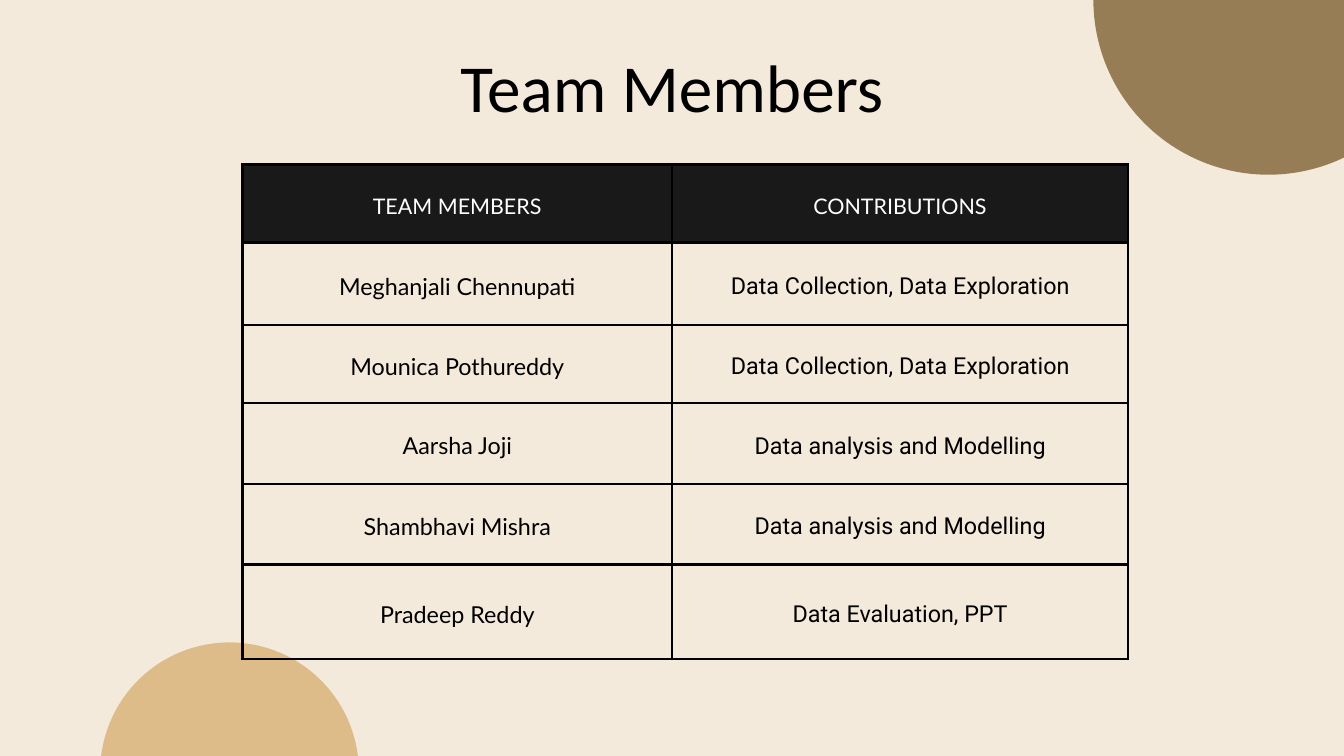
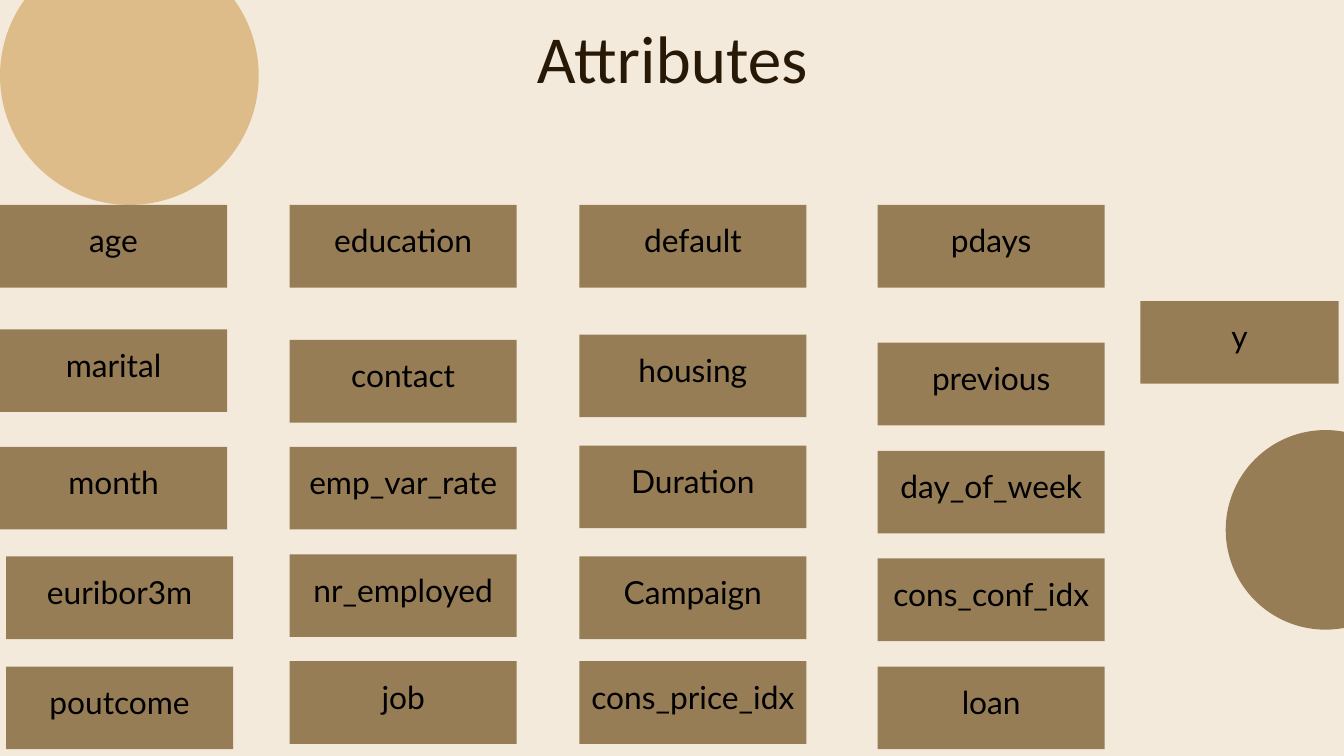
from lxml.etree import SubElement
from pptx import Presentation
from pptx.dml.color import RGBColor
from pptx.enum.shapes import MSO_SHAPE
from pptx.enum.text import MSO_ANCHOR, MSO_AUTO_SIZE, PP_ALIGN
from pptx.oxml.ns import qn
from pptx.util import Pt

PX = 9144  # EMU per px, 100 px to the inch
COLOURS = {
    "cream": "F4EADB",
    "brown": "967D55",
    "tan": "DDBC8A",
    "header": "191919",
    "black": "000000",
    "white": "FFFFFF",
    "dark_brown": "271905",
}


def write_text(frame, text, size, spacing, font="Lato", colour="black",
               anchor=MSO_ANCHOR.MIDDLE, margins=(0, 0, 0, 0)):
    """Fill a text frame with one centred paragraph; margins run left, top, right, bottom."""
    frame.word_wrap = True
    frame.vertical_anchor = anchor
    frame.margin_left, frame.margin_top, frame.margin_right, frame.margin_bottom = [
        margin * PX for margin in margins]
    paragraph = frame.paragraphs[0]
    paragraph.alignment = PP_ALIGN.CENTER
    paragraph.line_spacing = Pt(spacing)
    run = paragraph.add_run()
    run.text = text
    run.font.name = font
    run.font.size = Pt(size)
    run.font.color.rgb = RGBColor.from_string(COLOURS[colour])


def add_filled_shape(slide, kind, box, colour):
    shape = slide.shapes.add_shape(kind, *[length * PX for length in box])
    shape.shadow.inherit = False
    shape.fill.solid()
    shape.fill.fore_color.rgb = RGBColor.from_string(COLOURS[colour])
    shape.line.fill.background()
    return shape


presentation = Presentation()
presentation.slide_width = 2000 * PX
presentation.slide_height = 1125 * PX
background = presentation.slide_master.background.fill
background.solid()
background.fore_color.rgb = RGBColor.from_string(COLOURS["cream"])
title_only = presentation.slide_layouts[5]

# Titles and corner circles (left, top, diameter, colour) of both slides
slides = []
for text, title_box, spacing, colour, circles in [
    ("Team Members", (652, 48, 696, 141), 100.8, "black",
     [(1627, -261, 521, "brown"), (149, 956, 385, "tan")]),
    ("Attributes", (472, 24, 1057, 127), 86.4, "dark_brown",
     [(1824, 640, 297, "brown"), (0, -80, 385, "tan")]),
]:
    slide = presentation.slides.add_slide(title_only)
    title = slide.shapes.title
    title.left, title.top, title.width, title.height = [length * PX for length in title_box]
    write_text(title.text_frame, text, 72, spacing, font="Calibri", colour=colour,
               anchor=MSO_ANCHOR.TOP)
    title.text_frame.auto_size = MSO_AUTO_SIZE.NONE
    for left, top, diameter, circle_colour in circles:
        add_filled_shape(slide, MSO_SHAPE.OVAL, (left, top, diameter, diameter), circle_colour)
    slides.append(slide)
team_slide, attributes_slide = slides

# Team table
team_rows = [
    ("TEAM MEMBERS", "CONTRIBUTIONS"),
    ("Meghanjali Chennupati", "Data Collection, Data Exploration"),
    ("Mounica Pothureddy", "Data Collection, Data Exploration"),
    ("Aarsha Joji", "Data analysis and Modelling"),
    ("Shambhavi Mishra", "Data analysis and Modelling"),
    ("Pradeep Reddy", "Data Evaluation, PPT"),
]
column_widths = [639, 679]
row_heights = [116, 123, 116, 120, 120, 141]
table = team_slide.shapes.add_table(
    len(team_rows), len(column_widths), 361 * PX, 245 * PX,
    sum(column_widths) * PX, sum(row_heights) * PX).table
table.first_row = False
table.horz_banding = False
for column, width in zip(table.columns, column_widths):
    column.width = width * PX
for row, height in zip(table.rows, row_heights):
    row.height = height * PX

for row_index, texts in enumerate(team_rows):
    is_header = row_index == 0
    for column_index, text in enumerate(texts):
        cell = table.cell(row_index, column_index)
        write_text(cell.text_frame, text,
                   size=23 if is_header else 25,
                   spacing=32.2 if is_header else 35,
                   font="Roboto" if column_index == 1 and not is_header else "Lato",
                   colour="white" if is_header else "black")
        cell.vertical_anchor = MSO_ANCHOR.MIDDLE
        cell.margin_left = cell.margin_top = cell.margin_right = cell.margin_bottom = 21 * PX

        # Borders come before the fill in the cell properties
        properties = cell._tc.get_or_add_tcPr()
        for side in ("a:lnL", "a:lnR", "a:lnT", "a:lnB"):
            border = SubElement(properties, qn(side), w=str(Pt(3)))
            SubElement(SubElement(border, qn("a:solidFill")), qn("a:srgbClr"),
                       val=COLOURS["black"])
        if is_header:
            cell.fill.solid()
            cell.fill.fore_color.rgb = RGBColor.from_string(COLOURS["header"])
        else:
            cell.fill.background()

# Attribute boxes: each column has a left edge, a width and its (top, name) pairs
attribute_columns = [
    (0, 338, [(305, "age"), (490, "marital"), (665, "month")]),
    (9, 338, [(828, "euribor3m"), (992, "poutcome")]),
    (431, 338, [(305, "education"), (506, "contact"), (665, "emp_var_rate"),
                (825, "nr_employed"), (984, "job")]),
    (862, 338, [(305, "default"), (498, "housing"), (663, "Duration"),
                (828, "Campaign"), (984, "cons_price_idx")]),
    (1306, 338, [(305, "pdays"), (510, "previous"), (671, "day_of_week"),
                 (831, "cons_conf_idx"), (992, "loan")]),
    (1697, 295, [(448, "y")]),
]
for left, width, attributes in attribute_columns:
    for top, name in attributes:
        box = add_filled_shape(attributes_slide, MSO_SHAPE.RECTANGLE,
                               (left, top, width, 123), "brown")
        # The deeper bottom margin lifts the name above the middle
        write_text(box.text_frame, name, 34, 47.6, margins=(6, 6, 6, 34))

presentation.save("out.pptx")
